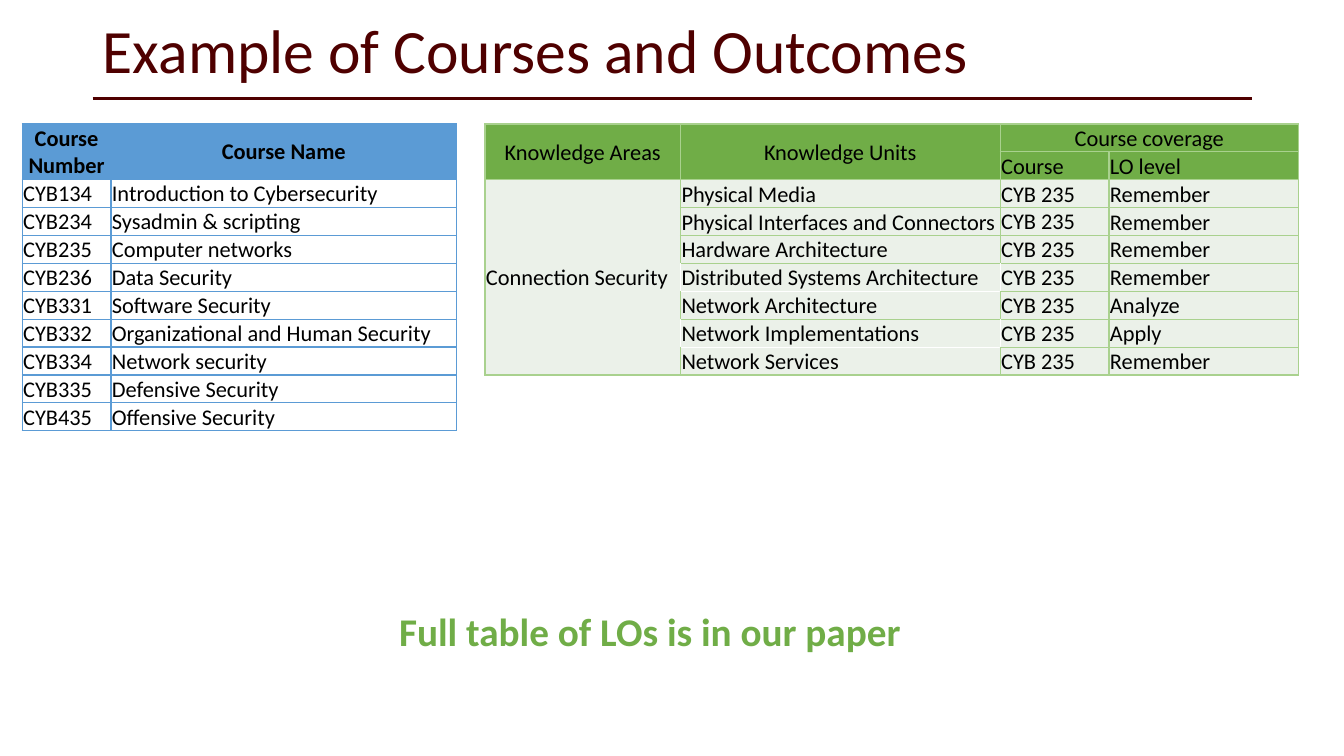
from dataclasses import dataclass

from lxml.etree import SubElement
from pptx import Presentation
from pptx.dml.color import RGBColor
from pptx.enum.shapes import MSO_CONNECTOR
from pptx.enum.text import MSO_ANCHOR, PP_ALIGN
from pptx.oxml.ns import qn
from pptx.util import Inches, Pt


@dataclass(frozen=True)
class Theme:
    font: str = "Calibri"
    maroon: str = "4F0000"
    black: str = "000000"
    white: str = "FFFFFF"
    blue: str = "5B9BD5"
    green: str = "70AD47"
    edge: str = "A9D18E"
    pale: str = "EBF1E9"
    title: int = 44
    note: int = 28
    cell: int = 16


class Deck:
    def __init__(self, theme):
        self.theme = theme
        self.prs = Presentation()
        self.prs.slide_width = Inches(13.33)
        self.prs.slide_height = Inches(7.5)
        self.slide = self.prs.slides.add_slide(self.prs.slide_layouts[5])

    def label(self, frame, text, size, color, bold=False, align=PP_ALIGN.LEFT):
        frame.text = text
        para = frame.paragraphs[0]
        para.alignment = align
        for run in para.runs:
            run.font.name = self.theme.font
            run.font.size = Pt(size)
            run.font.bold = bold
            run.font.color.rgb = RGBColor.from_string(color)
        return para

    def title(self, text, x, y, w, h):
        shape = self.slide.shapes.title
        shape.left, shape.top = Inches(x), Inches(y)
        shape.width, shape.height = Inches(w), Inches(h)
        shape.text_frame.vertical_anchor = MSO_ANCHOR.MIDDLE
        para = self.label(shape.text_frame, text, self.theme.title, self.theme.maroon)
        para.line_spacing = 0.9

    def rule(self, x, y, w):
        line = self.slide.shapes.add_connector(
            MSO_CONNECTOR.STRAIGHT, Inches(x), Inches(y), Inches(x + w), Inches(y))
        line.line.color.rgb = RGBColor.from_string(self.theme.maroon)
        line.line.width = Pt(2)
        SubElement(line._element.spPr, qn("a:effectLst"))

    def note(self, text, x, y, w, h):
        box = self.slide.shapes.add_textbox(Inches(x), Inches(y), Inches(w), Inches(h))
        box.text_frame.word_wrap = True
        self.label(box.text_frame, text, self.theme.note, self.theme.green,
                   True, PP_ALIGN.CENTER)

    def grid(self, x, y, cols, rows):
        frame = self.slide.shapes.add_table(
            len(rows), len(cols), Inches(x), Inches(y),
            Inches(sum(cols)), Inches(sum(rows)))
        table = frame.table
        table.first_row = table.horz_banding = False
        for col, width in zip(table.columns, cols):
            col.width = Inches(width)
        for row, height in zip(table.rows, rows):
            row.height = Inches(height)
        return table

    def cell(self, cell, text, edges, fill=None, bold=False,
             align=PP_ALIGN.LEFT, anchor=MSO_ANCHOR.MIDDLE):
        cell.margin_left = cell.margin_right = cell.margin_top = Inches(0.01)
        cell.margin_bottom = 0
        cell.vertical_anchor = anchor
        props = cell._tc.get_or_add_tcPr()
        for side in "LRTB":
            line = SubElement(props, qn("a:ln" + side), w=str(Pt(1)))
            solid = SubElement(line, qn("a:solidFill"))
            SubElement(solid, qn("a:srgbClr"), val=edges[side])
        if fill:
            cell.fill.solid()
            cell.fill.fore_color.rgb = RGBColor.from_string(fill)
        else:
            cell.fill.background()
        if text:
            self.label(cell.text_frame, text, self.theme.cell, self.theme.black,
                       bold, align)


COURSES = [
    ("Course Number", "Course Name"),
    ("CYB134", "Introduction to Cybersecurity"),
    ("CYB234", "Sysadmin & scripting"),
    ("CYB235", "Computer networks"),
    ("CYB236", "Data Security"),
    ("CYB331", "Software Security"),
    ("CYB332", "Organizational and Human Security"),
    ("CYB334", "Network security"),
    ("CYB335", "Defensive Security"),
    ("CYB435", "Offensive Security"),
]
UNITS = [
    ("Physical Media", "Remember"),
    ("Physical Interfaces and Connectors", "Remember"),
    ("Hardware Architecture", "Remember"),
    ("Distributed Systems Architecture", "Remember"),
    ("Network Architecture", "Analyze"),
    ("Network Implementations", "Apply"),
    ("Network Services", "Remember"),
]
TOP = 1.23


def courses(deck):
    theme = deck.theme
    step = 3.04 / (len(COURSES) + 1)
    table = deck.grid(0.22, TOP, [0.88, 3.43], [2 * step] + [step] * (len(COURSES) - 1))
    edges = dict.fromkeys("LRTB", theme.blue)
    for r, row in enumerate(COURSES):
        head = r == 0
        for c, text in enumerate(row):
            deck.cell(table.cell(r, c), text, edges,
                      fill=theme.blue if head else None, bold=head,
                      align=PP_ALIGN.CENTER if head else PP_ALIGN.LEFT,
                      anchor=MSO_ANCHOR.MIDDLE if c else MSO_ANCHOR.BOTTOM)


def outcomes(deck):
    theme = deck.theme
    rows = [("Knowledge Areas", "Knowledge Units", "Course coverage", ""),
            ("", "", "Course", "LO level")]
    for r, (unit, level) in enumerate(UNITS):
        rows.append(("" if r else "Connection Security", unit, "CYB 235", level))
    table = deck.grid(4.81, TOP, [1.94, 3.17, 1.08, 1.88], [2.49 / len(rows)] * len(rows))
    # White edges surround two of the unit cells
    white = {}
    for r in (5, 7):
        white |= {(r, 1): "LRB", (r, 2): "L", (r + 1, 1): "T"}
    for r, row in enumerate(rows):
        for c, text in enumerate(row):
            edges = {side: theme.white if side in white.get((r, c), "") else theme.edge
                     for side in "LRTB"}
            deck.cell(table.cell(r, c), text, edges,
                      fill=theme.green if r < 2 else theme.pale,
                      align=PP_ALIGN.LEFT if r else PP_ALIGN.CENTER,
                      anchor=MSO_ANCHOR.BOTTOM if r > 1 and c == 2 else MSO_ANCHOR.MIDDLE)
    # Joined cells
    for start, end in [((0, 0), (1, 0)), ((0, 1), (1, 1)),
                       ((0, 2), (0, 3)), ((2, 0), (8, 0))]:
        table.cell(*start).merge(table.cell(*end))


def main():
    deck = Deck(Theme())
    # Heading
    deck.rule(0.92, 0.98, 11.5)
    deck.title("Example of Courses and Outcomes", 0.92, 0.15, 11.5, 0.76)
    # Closing note
    deck.note("Full table of LOs is in our paper", 2.53, 5.98, 7.83, 0.57)
    # Tables
    courses(deck)
    outcomes(deck)
    deck.prs.save("out.pptx")


if __name__ == "__main__":
    main()
